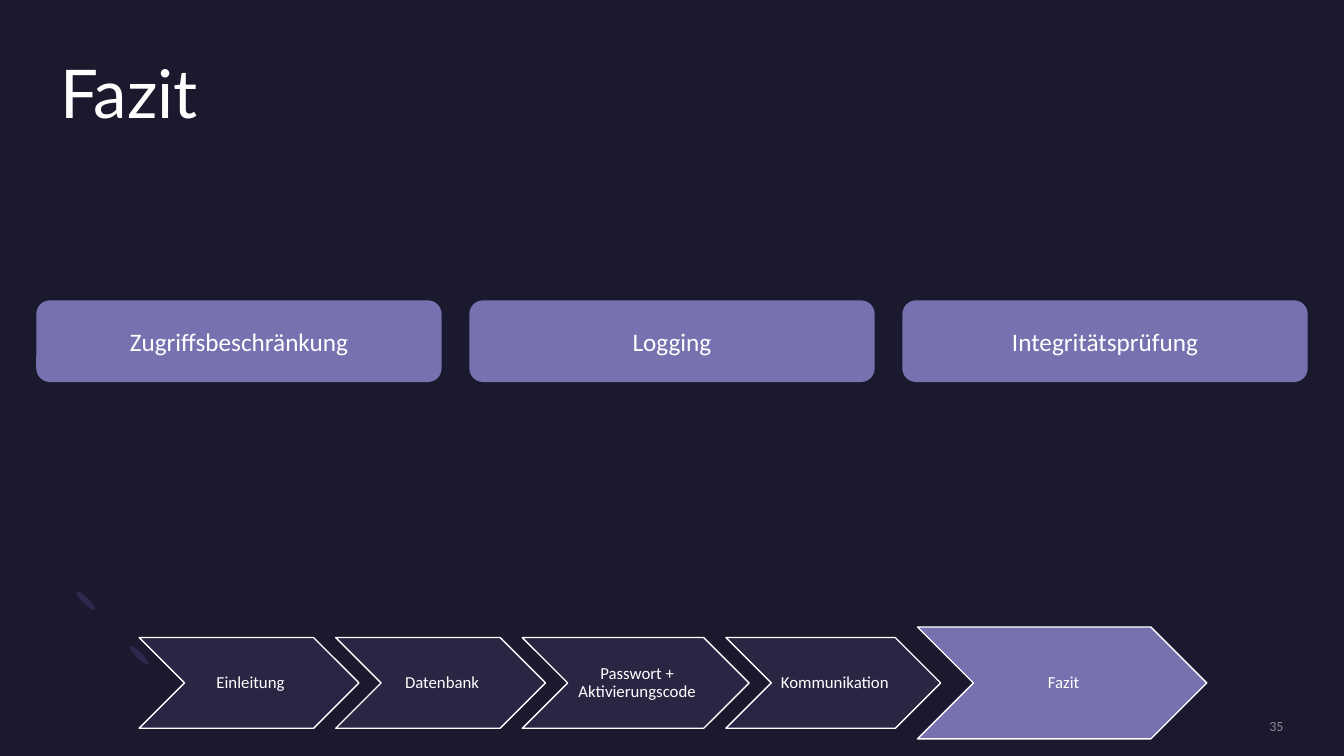
from lxml import etree
from pptx import Presentation
from pptx.dml.color import RGBColor
from pptx.enum.shapes import MSO_SHAPE
from pptx.enum.text import MSO_ANCHOR, MSO_AUTO_SIZE, PP_ALIGN
from pptx.oxml.ns import qn
from pptx.util import Inches, Pt

COLORS = {
    "background": "1B192E",
    "text": "FFFFFF",
    "number": "8A8A8F",
    "step": "292644",
    "accent": "7871B0",
    "leaf": "2C284A",
}
TOPICS = ["Zugriffsbeschränkung", "Logging", "Integritätsprüfung"]
STEPS = [
    ("Einleitung", 2.18),
    ("Datenbank", 2.08),
    ("Passwort + Aktivierungscode", 2.25),
    ("Kommunikation", 2.13),
    ("Fazit", 2.87),
]


def color(name):
    """Return the named colour."""
    return RGBColor.from_string(COLORS[name])


def write_text(shape, text, size, font="Calibri", ink="text", align=PP_ALIGN.CENTER,
               anchor=MSO_ANCHOR.MIDDLE, insets=(0, 0, 0, 0), line_spacing=1.0):
    """Write one formatted paragraph into a shape."""
    frame = shape.text_frame
    frame.word_wrap = True
    frame.auto_size = MSO_AUTO_SIZE.NONE
    frame.vertical_anchor = anchor
    frame.margin_left, frame.margin_top, frame.margin_right, frame.margin_bottom = map(Inches, insets)
    paragraph = frame.paragraphs[0]
    paragraph.alignment = align
    paragraph.line_spacing = line_spacing
    run = paragraph.add_run()
    run.text = text
    run.font.name = font
    run.font.size = Pt(size)
    run.font.color.rgb = color(ink)


def add_filled_shape(slide, kind, box, fill, outlined=False):
    """Add a flat preset shape in the given box."""
    shape = slide.shapes.add_shape(kind, *map(Inches, box))
    shape.shadow.inherit = False
    shape.fill.solid()
    shape.fill.fore_color.rgb = color(fill)
    if outlined:
        shape.line.color.rgb = color("text")
        shape.line.width = Pt(1)
    else:
        shape.line.fill.background()
    return shape


def curve_points(start, first, second, end, count=12):
    """Return points along a cubic curve, without its start."""
    points = []
    for index in range(1, count + 1):
        t = index / count
        weights = ((1 - t) ** 3, 3 * t * (1 - t) ** 2, 3 * t * t * (1 - t), t ** 3)
        points.append(tuple(
            sum(weight * value for weight, value in zip(weights, values))
            for values in zip(start, first, second, end)
        ))
    return points


def add_decoration(slide, left, top):
    """Draw the two leaves and the faint arc from the given corner."""
    for x, y in ((0.79, 0.55), (0.26, 0.01)):
        leaf = add_filled_shape(slide, MSO_SHAPE.OVAL, (left + x, top + y, 0.06, 0.26), "leaf")
        leaf.rotation = 135
    outline = [(0.2, 0.77)]
    outline += curve_points((0.2, 0.77), (0, 0.57), (0.02, 0.23), (0.25, 0))
    outline.append((0.43, 0.18))
    outline += curve_points((0.43, 0.18), (0.31, 0.29), (0.3, 0.47), (0.4, 0.56))
    outline += curve_points((0.4, 0.56), (0.5, 0.66), (0.67, 0.65), (0.79, 0.54))
    outline.append((0.96, 0.72))
    outline += curve_points((0.96, 0.72), (0.74, 0.94), (0.39, 0.97), (0.2, 0.77))
    points = [(Inches(left + x), Inches(top + y)) for x, y in outline]
    builder = slide.shapes.build_freeform(*points[0])
    builder.add_line_segments(points[1:], close=True)
    arc = builder.convert_to_shape()
    arc.shadow.inherit = False
    arc.fill.solid()
    arc.fill.fore_color.rgb = color("accent")
    arc.line.fill.background()
    fill_color = arc.fill._xPr.find(qn("a:solidFill"))[0]
    etree.SubElement(fill_color, qn("a:alpha")).set("val", "2000")


def add_title(slide, left, top, width, height):
    """Place the slide title."""
    title = slide.shapes.title
    title.left, title.top, title.width, title.height = map(Inches, (left, top, width, height))
    write_text(title, "Fazit", 48, font="Lato", align=PP_ALIGN.LEFT,
               anchor=MSO_ANCHOR.TOP, line_spacing=0.9)


def add_topics(slide, left, top, width, height):
    """Spread the topic cards evenly over the box."""
    card_width = 4.02
    pitch = (width - card_width) / (len(TOPICS) - 1)
    for index, topic in enumerate(TOPICS):
        box = (left + index * pitch, top, card_width, height)
        card = add_filled_shape(slide, MSO_SHAPE.ROUNDED_RECTANGLE, box, "accent")
        write_text(card, topic, 18, insets=(0.1, 0.05, 0.1, 0.05))


def add_progress(slide, left, top, height):
    """Chain the agenda chevrons, with the last one highlighted."""
    overlap = 0.23
    for index, (label, width) in enumerate(STEPS):
        current = index == len(STEPS) - 1
        step_height = 0.9 if not current else height
        box = (left, top + (height - step_height) / 2, width, step_height)
        chevron = add_filled_shape(slide, MSO_SHAPE.CHEVRON, box,
                                   "accent" if current else "step", outlined=True)
        write_text(chevron, label, 12, insets=(0.05, 0.02, 0.02, 0.02), line_spacing=0.9)
        left += width - overlap


def add_slide_number(slide, left, top, width, height):
    """Place the slide number."""
    number = slide.shapes.add_textbox(*map(Inches, (left, top, width, height)))
    write_text(number, "35", 10, ink="number", align=PP_ALIGN.RIGHT)


def main():
    """Build and save the slide."""
    presentation = Presentation()
    presentation.slide_width = Inches(13.33)
    presentation.slide_height = Inches(7.5)
    slide = presentation.slides.add_slide(presentation.slide_layouts[5])
    slide.background.fill.solid()
    slide.background.fill.fore_color.rgb = color("background")
    add_decoration(slide, 0.56, 5.82)
    add_title(slide, 0.6, 0.6, 12.13, 1.46)
    add_slide_number(slide, 10.88, 7.12, 1.85, 0.17)
    add_progress(slide, 1.38, 6.22, 1.11)
    add_topics(slide, 0.36, 2.98, 12.61, 0.81)
    presentation.save("out.pptx")


if __name__ == "__main__":
    main()
